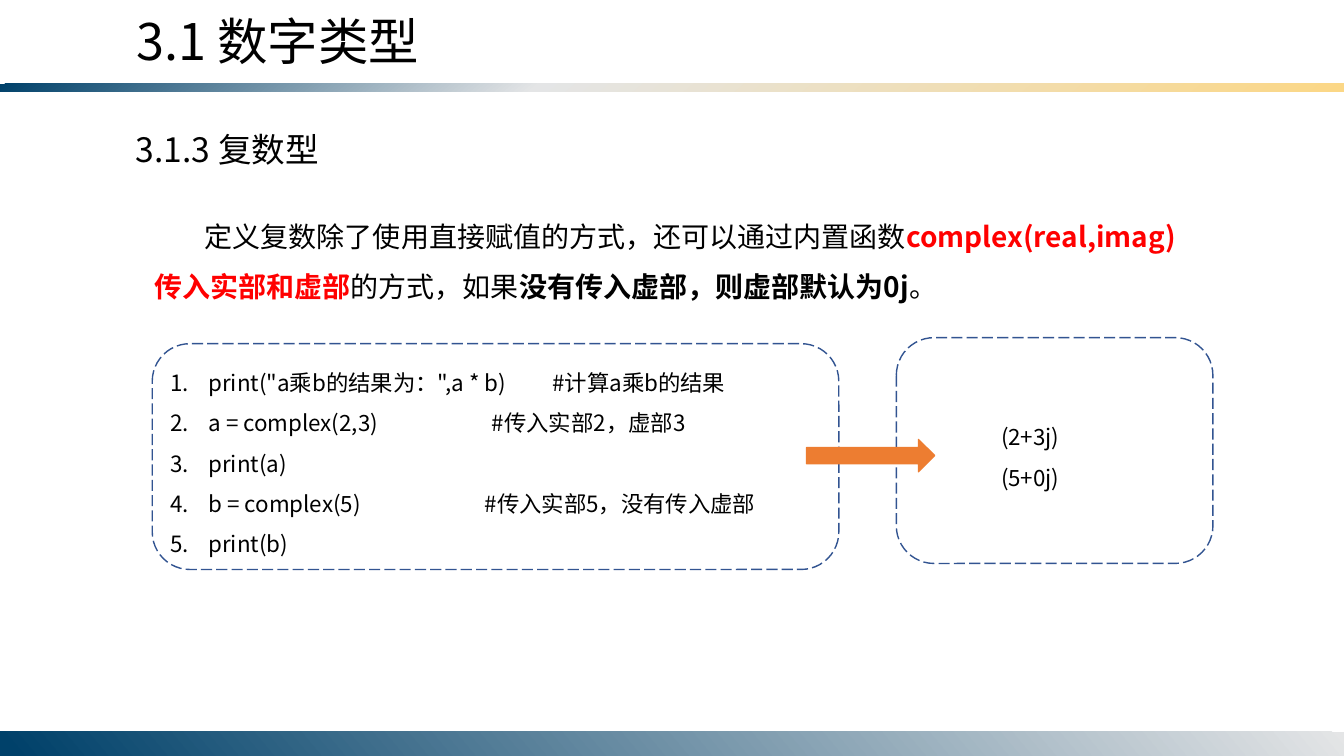
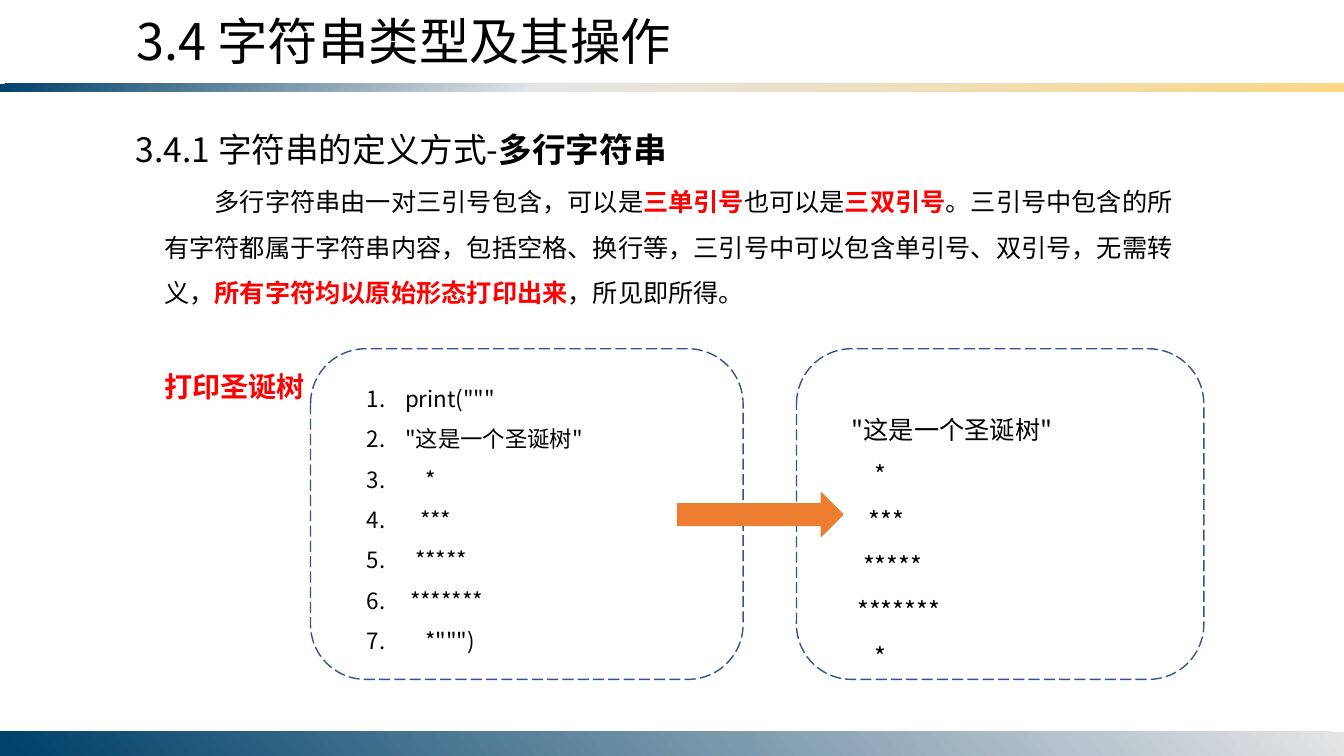
from lxml import etree
from pptx import Presentation
from pptx.dml.color import RGBColor
from pptx.enum import dml, shapes, text as text_enum
from pptx.oxml import ns
from pptx.util import Inches, Pt

# Shared style
FONT = "Noto Sans CJK SC"
BLACK, RED, ORANGE, BORDER = "000000", "FF0000", "ED7D31", "325491"
NAVY, SILVER, GOLD = "00416A", "E4E5E6", "FBD786"
STRONG = {"bold": True}
ALERT = {"bold": True, "color": RED}
NUMBER_INDENT = 0.38


def rgb(value):
    return RGBColor.from_string(value)


def box(left, top, width, height):
    return [Inches(length) for length in (left, top, width, height)]


def add_element(parent, tag, **attributes):
    values = {name: str(value) for name, value in attributes.items()}
    return etree.SubElement(parent, ns.qn(tag), values)


# Text
def add_run(paragraph, text, size=16, color=BLACK, bold=False):
    run = paragraph.add_run()
    run.text = text
    run.font.size = Pt(size)
    run.font.bold = bold
    run.font.color.rgb = rgb(color)
    run.font.name = FONT
    add_element(run.font._element, "a:ea", typeface=FONT)


def format_paragraph(paragraph, spacing, indent, numbered, tab):
    paragraph.alignment = text_enum.PP_ALIGN.LEFT
    paragraph.line_spacing = spacing
    paragraph.space_before = Pt(0)
    properties = paragraph._p.get_or_add_pPr()
    margin = NUMBER_INDENT if numbered else 0
    first = -NUMBER_INDENT if numbered else indent
    properties.set("marL", str(Inches(margin)))
    properties.set("indent", str(Inches(first)))
    if numbered:
        add_element(properties, "a:buFont", typeface="+mj-lt")
        add_element(properties, "a:buAutoNum", type="arabicPeriod")
    else:
        add_element(properties, "a:buNone")
    if tab:
        stops = add_element(properties, "a:tabLst")
        add_element(stops, "a:tab", pos=Inches(tab), algn="l")


def write(shape, paragraphs, spacing=1.5, indent=0, numbered=False, tabs=(), **run_format):
    """Each paragraph is a string or a list of (text, format) runs."""
    frame = shape.text_frame
    frame.word_wrap = True
    frame.auto_size = text_enum.MSO_AUTO_SIZE.NONE
    frame.vertical_anchor = text_enum.MSO_ANCHOR.TOP
    for index, content in enumerate(paragraphs):
        paragraph = frame.add_paragraph() if index else frame.paragraphs[0]
        tab = tabs[index] if index < len(tabs) else None
        format_paragraph(paragraph, spacing, indent, numbered, tab)
        runs = [(content, {})] if isinstance(content, str) else content
        for text, changes in runs:
            add_run(paragraph, text, **{**run_format, **changes})


def add_text(slide, place, paragraphs, **text_format):
    write(slide.shapes.add_textbox(*box(*place)), paragraphs, **text_format)


# Shapes
def add_shape(slide, kind, place):
    shape = slide.shapes.add_shape(kind, *box(*place))
    shape.shadow.inherit = False
    return shape


def add_panel(slide, place):
    panel = add_shape(slide, shapes.MSO_SHAPE.ROUNDED_RECTANGLE, place)
    panel.fill.background()
    panel.line.color.rgb = rgb(BORDER)
    panel.line.width = Pt(1)
    panel.line.dash_style = dml.MSO_LINE.LONG_DASH


def add_arrow(slide, place):
    arrow = add_shape(slide, shapes.MSO_SHAPE.RIGHT_ARROW, place)
    arrow.fill.solid()
    arrow.fill.fore_color.rgb = rgb(ORANGE)
    arrow.line.color.rgb = rgb(ORANGE)
    arrow.line.width = Pt(1)


def add_band(slide, layout, place, stops, angle):
    """Draw a gradient band and move it to the layout."""
    band = add_shape(slide, shapes.MSO_SHAPE.RECTANGLE, place)
    band.line.fill.background()
    band.fill.gradient()
    gradient = band.element.spPr.find(ns.qn("a:gradFill"))
    for child in list(gradient):
        gradient.remove(child)
    stop_list = add_element(gradient, "a:gsLst")
    for position, color in stops:
        stop = add_element(stop_list, "a:gs", pos=position * 1000)
        add_element(stop, "a:srgbClr", val=color)
    add_element(gradient, "a:lin", ang=angle * 60000, scaled=0)
    layout.shapes.element.insert(2, band.element)


# Slides
def add_bands(slide, layout):
    add_band(slide, layout, (0, 0.83, 13.33, 0.08),
             [(0, NAVY), (40, SILVER), (100, GOLD)], 50)
    add_band(slide, layout, (0, 7.26, 13.33, 0.24),
             [(0, SILVER), (99, NAVY)], 140)


def add_topic(presentation, layout, title, heading, body, body_place, body_size):
    slide = presentation.slides.add_slide(layout)
    write(slide.shapes.title, [title], spacing=1, size=36)
    add_text(slide, (1.25, 1.23, 6.38, 0.5), [heading], spacing=1, size=24)
    holder = slide.placeholders[1]
    holder.left, holder.top, holder.width, holder.height = box(*body_place)
    write(holder, [body], indent=0.5, size=body_size)
    return slide


def build_complex(presentation, layout):
    body = [
        ("定义复数除了使用直接赋值的方式，还可以通过内置函数", {}),
        ("complex(real,imag)传入实部和虚部", ALERT),
        ("的方式，如果", {}),
        ("没有传入虚部，则虚部默认为0j", STRONG),
        ("。", {}),
    ]
    slide = add_topic(presentation, layout, "3.1 数字类型", "3.1.3 复数型",
                      body, (1.43, 1.96, 10.6, 1.11), 20)
    add_panel(slide, (1.51, 3.41, 6.81, 2.24))
    add_panel(slide, (8.89, 3.35, 3.14, 2.24))
    code = [
        'print("a乘b的结果为：",a * b)\t#计算a乘b的结果',
        "a = complex(2,3)\t#传入实部2，虚部3",
        "print(a)",
        "b = complex(5)\t#传入实部5，没有传入虚部",
        "print(b)",
    ]
    add_text(slide, (1.59, 3.48, 6.64, 2.12), code, numbered=True,
             tabs=(3.79, 3.19, None, 3.12))
    add_text(slide, (9.83, 4.02, 1.45, 0.91), ["(2+3j)", "(5+0j)"])
    add_arrow(slide, (8, 4.36, 1.27, 0.32))
    return slide


def build_multiline(presentation, layout):
    heading = [("3.4.1 字符串的定义方式-", {}), ("多行字符串", STRONG)]
    body = [
        ("多行字符串由一对三引号包含，可以是", {}),
        ("三单引号", ALERT),
        ("也可以是", {}),
        ("三双引号", ALERT),
        ("。三引号中包含的所有字符都属于字符串内容，包括空格、换行等，"
         "三引号中可以包含单引号、双引号，无需转义，", {}),
        ("所有字符均以原始形态打印出来", ALERT),
        ("，所见即所得。", {}),
    ]
    slide = add_topic(presentation, layout, "3.4 字符串类型及其操作", heading,
                      body, (1.53, 1.65, 10.26, 1.46), 18)
    tree = ['"这是一个圣诞树"']
    tree += [" " * (4 - row) + "*" * (2 * row + 1) for row in range(4)]
    tree.append("    *")
    code = ['print("""', *tree[:-1], tree[-1] + '""")']
    add_panel(slide, (3.08, 3.46, 4.29, 3.28))
    add_panel(slide, (7.9, 3.46, 4.04, 3.28))
    add_text(slide, (3.54, 3.64, 3.37, 2.93), code, numbered=True)
    add_text(slide, (8.35, 3.91, 3.12, 2.83), tree, size=18)
    add_arrow(slide, (6.72, 4.89, 1.64, 0.43))
    add_text(slide, (1.53, 3.45, 2.08, 0.6), ["打印圣诞树"], size=20, **ALERT)


def main():
    presentation = Presentation()
    presentation.slide_width, presentation.slide_height = Inches(13.33), Inches(7.5)
    layout = presentation.slide_layouts.get_by_name("Title and Content")
    title = layout.placeholders[0]
    title.left, title.top, title.width, title.height = box(1.25, 0.05, 10.8, 0.75)
    first_slide = build_complex(presentation, layout)
    add_bands(first_slide, layout)
    build_multiline(presentation, layout)
    presentation.save("out.pptx")


if __name__ == "__main__":
    main()
